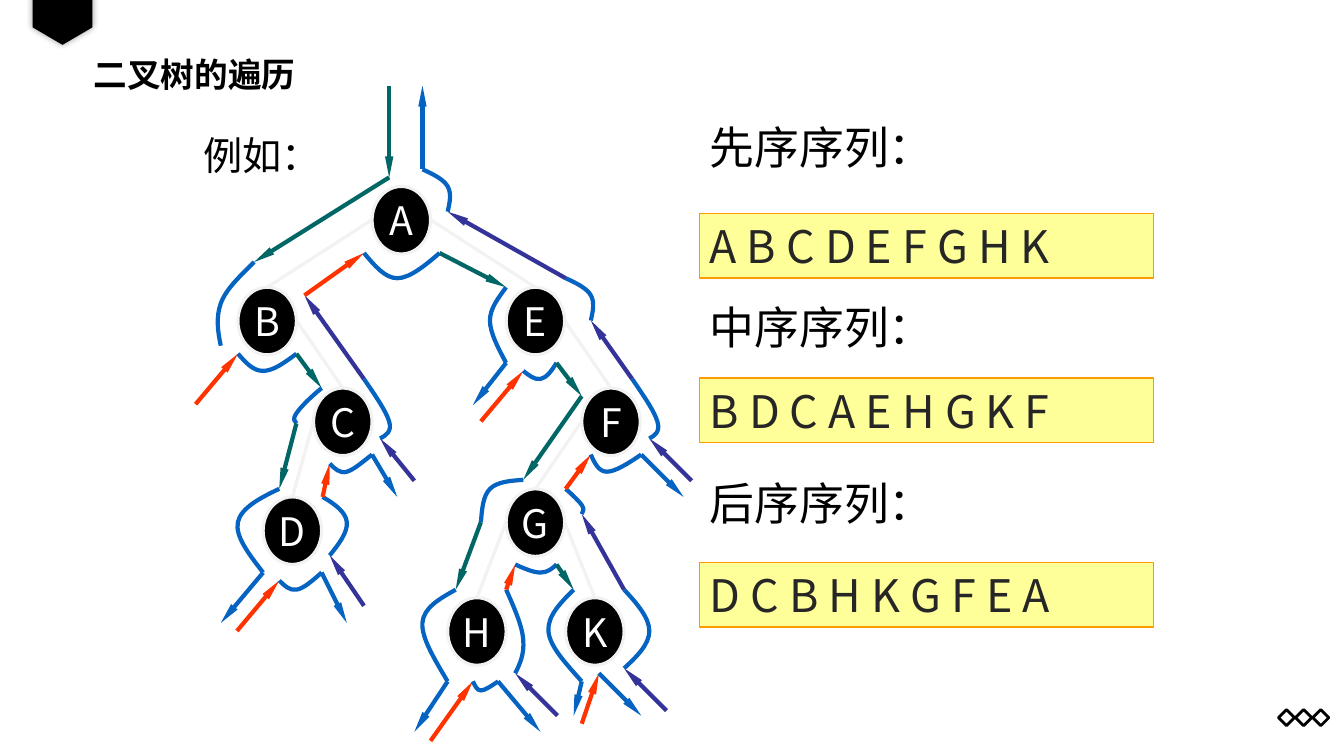
from dataclasses import dataclass

from lxml.etree import SubElement
from pptx import Presentation
from pptx.dml.color import RGBColor
from pptx.enum.shapes import MSO_CONNECTOR as Connector, MSO_SHAPE as Preset
from pptx.enum.text import MSO_ANCHOR as Anchor, PP_ALIGN as Align
from pptx.oxml.ns import qn
from pptx.util import Emu, Pt

PX = 9144
FONT = "Noto Sans CJK SC"
BLACK, WHITE, PALE, INK = "000000", "FFFFFF", "F2F2F2", "262626"
GREEN, RED, PURPLE, BLUE = "006666", "FF3300", "333399", "0563C1"
YELLOW, ORANGE = "FFFF99", "FF9900"
NODE_WIDTH, NODE_HEIGHT = 58, 67
ROOT_TOP, LEVEL_STEP, LEAF_DROP = 185, 100, 8
Point = tuple[int, int]


@dataclass(frozen=True)
class Node:
    """A tree node and the letter of its parent."""
    letter: str
    left: int
    parent: str = ""


@dataclass(frozen=True)
class Sequence:
    """A traversal heading and the boxed order below it."""
    heading: str
    order: str
    heading_top: int
    order_top: int


@dataclass(frozen=True)
class Go:
    """An arrow from the present point of the walk to the next."""
    colour: str
    x: int
    y: int


@dataclass(frozen=True)
class Bend:
    """A smooth curve through a middle point to the next point."""
    middle_x: int
    middle_y: int
    x: int
    y: int


@dataclass(frozen=True)
class Leave:
    """An arrow out to an empty subtree."""
    dx: int = 42
    dy: int = 42


@dataclass(frozen=True)
class Enter:
    """An arrow back from an empty subtree to the next point."""
    colour: str
    x: int
    y: int
    dx: int = 42
    dy: int = 42


NODES = [
    Node("A", 369), Node("B", 236, "A"), Node("C", 311, "B"),
    Node("D", 261, "C"), Node("E", 502, "A"), Node("F", 577, "E"),
    Node("G", 502, "F"), Node("H", 444, "G"), Node("K", 561, "G"),
]
BY_LETTER = {node.letter: node for node in NODES}
PARENTS = {node.parent for node in NODES}
SEQUENCES = [
    Sequence("先序序列：", "A B C D E F G H K", 113, 212),
    Sequence("中序序列：", "B D C A E H G K F", 292, 375),
    Sequence("后序序列：", "D C B H K G F E A", 467, 558),
]
WALK_START = (386, 85)
WALK = [
    Go(GREEN, 386, 176), Go(GREEN, 252, 260), Bend(219, 301, 219, 343),
    Enter(RED, 236, 351, -42, 50), Bend(261, 368, 294, 351),
    Go(GREEN, 319, 385), Bend(294, 410, 294, 420),
    Go(GREEN, 277, 485), Bend(236, 518, 261, 568), Leave(-42, 50),
    Enter(RED, 277, 576, -42, 50), Bend(294, 585, 319, 568), Leave(25, 50),
    Enter(PURPLE, 327, 551, 34, 50), Bend(344, 518, 320, 493),
    Go(RED, 327, 460), Bend(344, 468, 369, 451), Leave(25),
    Enter(PURPLE, 377, 435, 34), Bend(386, 418, 361, 376),
    Go(PURPLE, 302, 293), Go(RED, 361, 251), Bend(394, 276, 436, 251),
    Go(GREEN, 502, 285), Bend(486, 318, 502, 360), Leave(-33),
    Enter(RED, 519, 368, -42, 50), Bend(536, 376, 552, 360),
    Go(GREEN, 577, 393), Go(GREEN, 519, 476), Bend(486, 485, 477, 518),
    Go(GREEN, 452, 585), Bend(419, 618, 444, 676), Leave(-33, 50),
    Enter(RED, 469, 676, -42, 59), Bend(477, 685, 494, 676), Leave(dy=50),
    Enter(PURPLE, 511, 668), Bend(519, 635, 502, 585),
    Go(RED, 511, 560), Bend(536, 568, 552, 560),
    Go(GREEN, 569, 585), Bend(544, 626, 577, 676), Leave(-8, 34),
    Enter(RED, 594, 668, -17, 50), Leave(),
    Enter(PURPLE, 619, 663), Bend(644, 626, 619, 585),
    Go(PURPLE, 577, 510), Bend(577, 501, 561, 485),
    Go(RED, 586, 451), Bend(602, 468, 636, 451), Leave(),
    Enter(PURPLE, 644, 435), Bend(652, 418, 627, 376),
    Go(PURPLE, 586, 318), Bend(586, 293, 561, 276),
    Go(PURPLE, 444, 210), Bend(444, 185, 419, 168), Go(BLUE, 419, 85),
]


def px(*lengths: int) -> list[Emu]:
    """Turn pixel lengths into EMU."""
    return [Emu(length * PX) for length in lengths]


def paint(target, colour: str) -> None:
    """Give a fill, a line or a font one solid colour."""
    fill = getattr(target, "fill", target)
    fill.solid()
    fill.fore_color.rgb = RGBColor.from_string(colour)


def write(box, text: str, *, size: int, colour: str = BLACK, bold: bool = False,
          align: Align = Align.LEFT, wrap: bool = True) -> None:
    """Put one formatted line of text in the middle of a box."""
    frame = box.text_frame
    frame.word_wrap = wrap
    frame.vertical_anchor = Anchor.MIDDLE
    para = frame.paragraphs[0]
    para.alignment = align
    span = para.add_run()
    span.text = text
    font = span.font
    font.name, font.size, font.bold = FONT, Pt(size), bold
    paint(font, colour)
    SubElement(font._element, qn("a:ea"), typeface=FONT)


def add_label(page, text: str, area: tuple[int, int, int, int], **style) -> None:
    """Add a plain text box."""
    write(page.shapes.add_textbox(*px(*area)), text, **style)


def add_box(page, preset: Preset, area: tuple[int, int, int, int], *,
            fill: str = "", line: str = "", weight: float = 1):
    """Add a preset shape without the default style."""
    box = page.shapes.add_shape(preset, *px(*area))
    box.shadow.inherit = False
    for part, colour in ((box.fill, fill), (box.line.fill, line)):
        if colour:
            paint(part, colour)
        else:
            part.background()
    if line:
        box.line.width = Pt(weight)
    return box


def add_line(page, start: Point, end: Point, colour: str, *,
             weight: float = 3, arrow: bool = True) -> None:
    """Add a straight line, with an arrowhead at its end if wanted."""
    link = page.shapes.add_connector(Connector.STRAIGHT, *px(*start, *end))
    paint(link.line, colour)
    link.line.width = Pt(weight)
    if arrow:
        SubElement(link.line._get_or_add_ln(), qn("a:tailEnd"),
                   type="triangle", w="sm", len="lg")
    SubElement(link._element.spPr, qn("a:effectLst"))


def add_curve(page, start: Point, middle: Point, end: Point) -> None:
    """Add two Bezier pieces whose tangent at the middle follows the chord."""
    before, after = ([round(m + sign * (e - s) / 6) for s, m, e in zip(start, middle, end)]
                     for sign in (-1, 1))
    first, last = ([round((a + b) / 2) for a, b in zip(tip, handle)]
                   for tip, handle in ((start, before), (end, after)))
    builder = page.shapes.build_freeform(*start, scale=PX)
    builder.add_line_segments([first, before, middle, after, last, end], close=False)
    curve = builder.convert_to_shape()
    curve.shadow.inherit = False
    curve.fill.background()
    paint(curve.line, BLUE)
    curve.line.width = Pt(3)
    segments = list(curve._element.iter(qn("a:lnTo")))
    outline = segments[0].getparent()
    for piece in (segments[:3], segments[3:]):
        bezier = SubElement(outline, qn("a:cubicBezTo"))
        for segment in piece:
            bezier.append(segment[0])
            outline.remove(segment)


def add_ornaments(page) -> None:
    """Draw the corner ribbon and the row of diamonds."""
    for index in range(3):
        add_box(page, Preset.DIAMOND, (1268 + 17 * index, 704, 16, 16), line=BLACK, weight=2)
    ribbon = add_box(page, Preset.PENTAGON, (38, -9, 48, 59), fill=BLACK)
    ribbon.rotation = 90
    ribbon.adjustments[0] = 0.36
    effects = ribbon._element.spPr.find(qn("a:effectLst"))
    shadow = SubElement(effects, qn("a:outerShdw"), blurRad=str(Pt(5)), dist="0", dir="0")
    tint = SubElement(shadow, qn("a:srgbClr"), val=BLACK)
    SubElement(tint, qn("a:alpha"), val="40000")


def depth(node: Node) -> int:
    """Count the branches between a node and the root."""
    return 1 + depth(BY_LETTER[node.parent]) if node.parent else 0


def top_of(node: Node) -> int:
    """Place a node by its level; a deep leaf hangs slightly lower."""
    return ROOT_TOP + LEVEL_STEP * depth(node) + (0 if node.letter in PARENTS else LEAF_DROP)


def add_tree(page) -> None:
    """Draw the nodes and the branches."""
    for node in NODES:
        ball = add_box(page, Preset.OVAL, (node.left, top_of(node), NODE_WIDTH, NODE_HEIGHT),
                       fill=BLACK, line=PALE, weight=2.25)
        write(ball, node.letter, size=28, colour=WHITE, align=Align.CENTER, wrap=False)
    for node in NODES[1:]:
        parent = BY_LETTER[node.parent]
        side = parent.left + (NODE_WIDTH if node.left > parent.left else 0)
        add_line(page, (side, top_of(parent) + NODE_HEIGHT // 2),
                 (node.left + NODE_WIDTH // 2, top_of(node)), PALE, weight=2.25, arrow=False)


def add_walk(page) -> None:
    """Draw the walk around the tree, step after step."""
    here = WALK_START
    for step in WALK:
        if isinstance(step, Leave):
            add_line(page, here, (here[0] + step.dx, here[1] + step.dy), BLUE)
            continue
        target = (step.x, step.y)
        if isinstance(step, Bend):
            add_curve(page, here, (step.middle_x, step.middle_y), target)
        elif isinstance(step, Enter):
            add_line(page, (step.x + step.dx, step.y + step.dy), target, step.colour)
        else:
            add_line(page, here, target, step.colour)
        here = target


def main() -> None:
    """Build the slide and save it."""
    deck = Presentation()
    deck.slide_width, deck.slide_height = px(1333, 750)
    page = deck.slides.add_slide(deck.slide_layouts[6])
    add_ornaments(page)
    add_label(page, "二叉树的遍历", (83, 51, 1168, 46), size=24, bold=True)
    add_tree(page)
    add_walk(page)
    add_label(page, "例如：", (192, 125, 173, 57), size=28)
    for item in SEQUENCES:
        add_label(page, item.heading, (694, item.heading_top, 283, 64), size=32)
        panel = add_box(page, Preset.RECTANGLE, (694, item.order_top, 450, 64),
                        fill=YELLOW, line=ORANGE)
        write(panel, item.order, size=32, colour=INK)
    deck.save("out.pptx")


if __name__ == "__main__":
    main()
